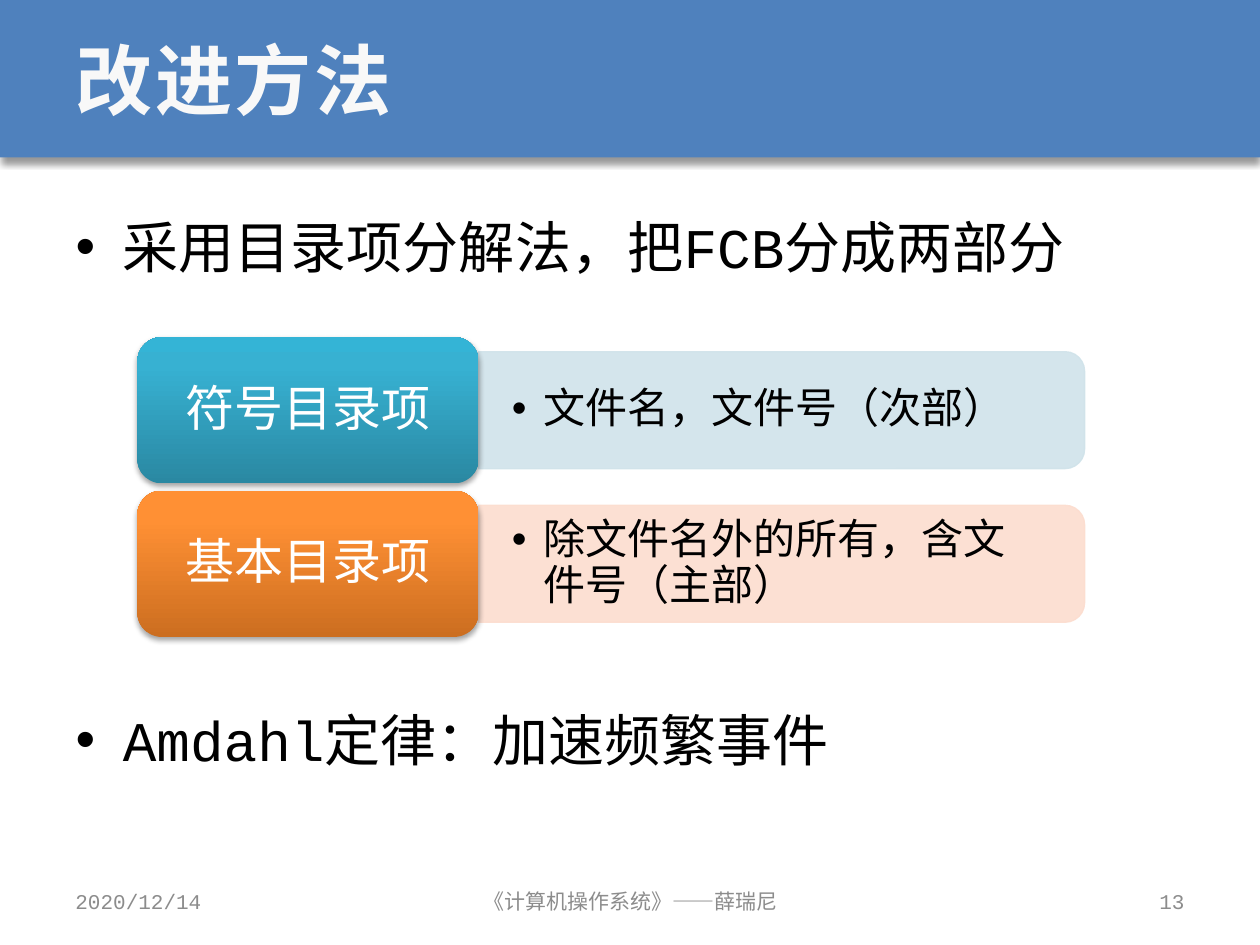
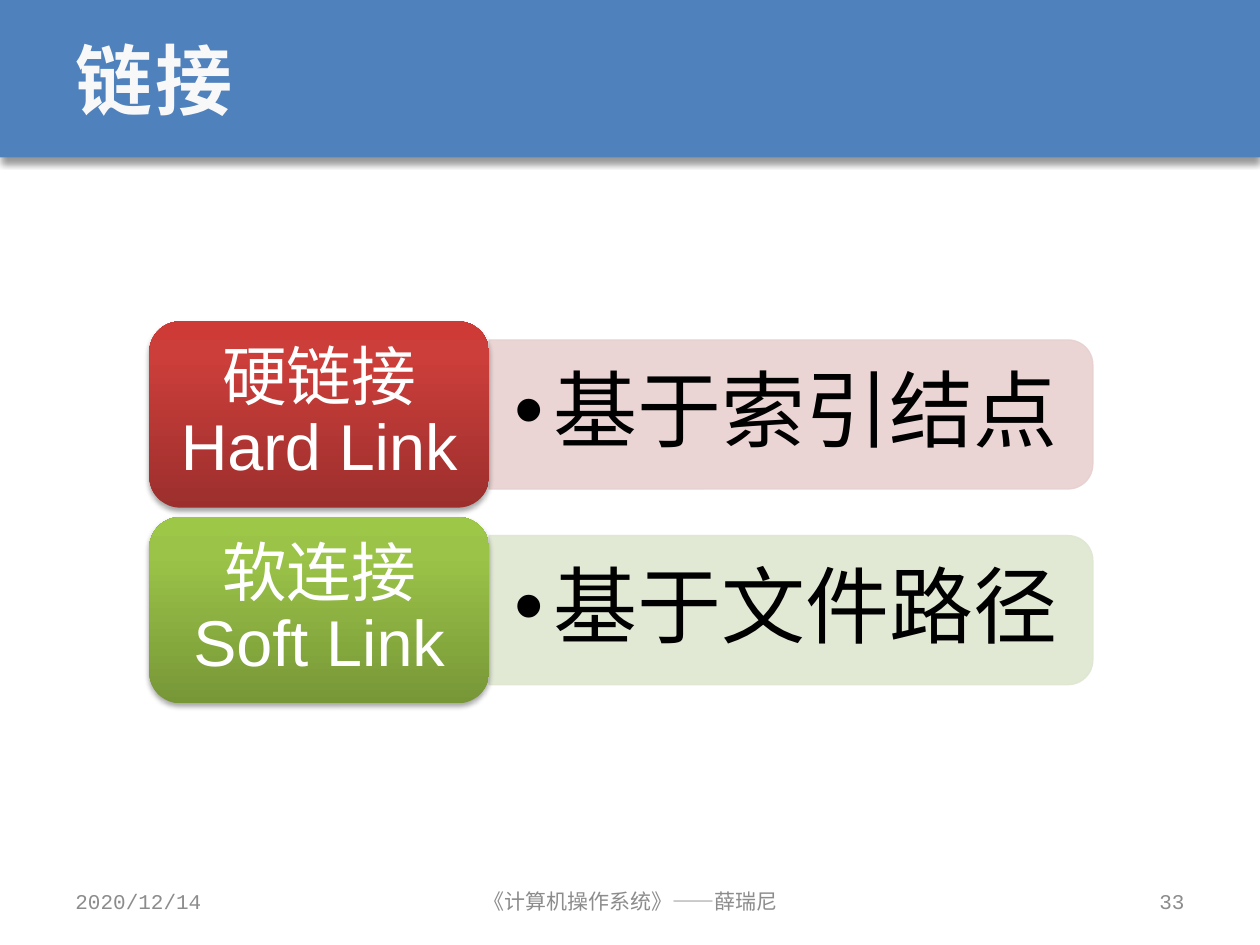
"""Build two file-system slides: directory entry split and link types."""
from copy import deepcopy

from lxml import etree
from pptx import Presentation
from pptx.dml.color import RGBColor
from pptx.enum import shapes, text
from pptx.oxml import ns
from pptx.util import Pt

COLOURS = {
    "band": "4F81BD", "title": "F8F8F8", "footer": "8C8C8C",
    "black": "000000", "white": "FFFFFF",
}
MONO, SANS = "Courier New", "Arial"
CORNER = 0.1667 * 0.293
LEFT, CENTER, RIGHT = text.PP_ALIGN.LEFT, text.PP_ALIGN.CENTER, text.PP_ALIGN.RIGHT


def add_shadow(shape, opacity, blur, distance):
    shape.shadow.inherit = False
    effects = shape._element.spPr.find(ns.qn("a:effectLst"))
    outer = etree.SubElement(effects, ns.qn("a:outerShdw"), blurRad=str(Pt(blur)),
                             dist=str(Pt(distance)), dir="5400000", rotWithShape="0")
    colour = etree.SubElement(outer, ns.qn("a:srgbClr"), val=COLOURS["black"])
    etree.SubElement(colour, ns.qn("a:alpha"), val=str(opacity * 1000))


def style_text(shape, size, font, colour, align, line_spacing=None, insets=None):
    frame = shape.text_frame
    frame.word_wrap = True
    frame.auto_size = text.MSO_AUTO_SIZE.NONE
    frame.vertical_anchor = text.MSO_ANCHOR.MIDDLE
    if insets:
        frame.margin_left = frame.margin_right = Pt(insets[0])
        frame.margin_top = frame.margin_bottom = Pt(insets[1])
    for para in frame.paragraphs:
        para.alignment = align
        para.line_spacing = line_spacing
        for span in para.runs:
            span.font.size = Pt(size)
            span.font.name = font
            span.font.color.rgb = RGBColor.from_string(COLOURS[colour])


slides = [
    {
        "title": "改进方法", "number": "13",
        "bullets": ["采用目录项分解法，把FCB分成两部分", "Amdahl定律：加速频繁事件"],
        "left": 78.5, "top": 192.6, "label_width": 195, "label_height": 83.6,
        "bar_width": 346.3, "label_size": 28, "detail_size": 24, "indent": 18,
        "label_insets": (8.6, 4.3), "detail_insets": (19, 9.7),
        "rows": [
            ("符号目录项", "文件名，文件号（次部）", "D0E3EA", ("2A88A2", "37B1D2", "34B4D6")),
            ("基本目录项", "除文件名外的所有，含文件号（主部）", "FCDDCF",
             ("CC6E20", "FF9034", "FF9136")),
        ],
    },
    {
        "title": "链接", "number": "33", "bullets": [],
        "left": 85.3, "top": 183.6, "label_width": 194.2, "label_height": 106.5,
        "bar_width": 345, "label_size": 37, "detail_size": 48, "indent": 22.5,
        "label_insets": (10, 5.5), "detail_insets": (14.4, 7.2),
        "rows": [
            ("硬链接\vHard Link", "基于索引结点", "E8D0D0", ("9C2F2D", "CB3E3A", "CE3B37")),
            ("软连接\vSoft Link", "基于文件路径", "DEE7D1", ("779737", "9BC348", "9DC746")),
        ],
    },
]

deck = Presentation()
deck.slide_width, deck.slide_height = Pt(720), Pt(540)
pages = [deck.slides.add_slide(deck.slide_layouts[1 if content["bullets"] else 5])
         for content in slides]

band = pages[0].shapes.add_shape(shapes.MSO_SHAPE.RECTANGLE, 0, 0, Pt(720), Pt(90))
band.fill.solid()
band.fill.fore_color.rgb = RGBColor.from_string(COLOURS["band"])
band.line.fill.background()
add_shadow(band, 40, 4, 3)
band._element.nvSpPr.cNvPr.set("id", "20")
deck.slide_master.shapes._spTree.insert(2, band._element)

for page, content in zip(pages, slides):
    title = page.shapes.title
    title.left, title.top, title.width, title.height = Pt(36), 0, Pt(648), Pt(90)
    title.text_frame.text = content["title"]
    style_text(title, 44, MONO, "title", LEFT)
    title_font = title.text_frame.paragraphs[0].runs[0].font
    title_font.bold = True
    title_font._element.set("spc", "150")

    if content["bullets"]:
        body = page.placeholders[1]
        body.left, body.top, body.width, body.height = Pt(36), Pt(106.3), Pt(648), Pt(384)
        body.text_frame.text = "\n".join(content["bullets"])
        style_text(body, 32, MONO, "black", LEFT, 1.3)
        body.text_frame.vertical_anchor = text.MSO_ANCHOR.TOP
        for para, gap in zip(body.text_frame.paragraphs, (0, 232)):
            para.space_before = Pt(gap)

    label_width, label_height = content["label_width"], content["label_height"]
    bar_left = content["left"] + label_width
    bar_width, bar_height = content["bar_width"], label_height * 0.8
    inset = bar_height * CORNER
    for row, (label_text, detail_text, tint, stops) in enumerate(content["rows"]):
        top = content["top"] + row * label_height * 1.05
        middle = top + label_height / 2

        bar = page.shapes.add_shape(
            shapes.MSO_SHAPE.ROUND_2_SAME_RECTANGLE,
            Pt(bar_left + (bar_width - bar_height) / 2), Pt(middle - bar_width / 2),
            Pt(bar_height), Pt(bar_width))
        bar.rotation = 90
        bar.shadow.inherit = False
        bar.fill.solid()
        bar.fill.fore_color.rgb = bar.line.color.rgb = RGBColor.from_string(tint)
        bar.line.width = Pt(0.75)
        for colour in list(bar._element.spPr.iter(ns.qn("a:srgbClr"))):
            etree.SubElement(colour, ns.qn("a:alpha"), val="90000")

        detail = page.shapes.add_textbox(
            Pt(bar_left), Pt(middle - bar_height / 2 + inset),
            Pt(bar_width - inset), Pt(bar_height - 2 * inset))
        detail.text_frame.text = detail_text
        detail.text_frame.paragraphs[0].level = 1
        properties = detail.text_frame.paragraphs[0]._p.get_or_add_pPr()
        properties.set("marL", str(Pt(content["indent"])))
        properties.set("indent", str(-Pt(content["indent"])))
        etree.SubElement(properties, ns.qn("a:buFont"), typeface=SANS)
        etree.SubElement(properties, ns.qn("a:buChar"), char="•")
        style_text(detail, content["detail_size"], SANS, "black", LEFT, 0.9,
                   content["detail_insets"])

        label = page.shapes.add_shape(
            shapes.MSO_SHAPE.ROUNDED_RECTANGLE, Pt(content["left"]), Pt(top),
            Pt(label_width), Pt(label_height))
        label.line.fill.background()
        label.fill.gradient()
        label.fill.gradient_angle = 90
        stop_list = label._element.spPr.find(".//" + ns.qn("a:gsLst"))
        stop_list.append(deepcopy(stop_list[-1]))
        for stop, position, colour in zip(label.fill.gradient_stops, (0, 0.8, 1), stops):
            stop.position = position
            stop.color.rgb = RGBColor.from_string(colour)
        add_shadow(label, 35, 3.1, 1.8)
        label.text_frame.paragraphs[0].text = label_text
        style_text(label, content["label_size"], SANS, "white", CENTER, 0.9,
                   content["label_insets"])

    footers = [
        (36, 168, "2020/12/14", LEFT),
        (246.2, 228, "《计算机操作系统》——薛瑞尼", CENTER),
        (516, 168, content["number"], RIGHT),
    ]
    for left, width, footer_text, align in footers:
        footer = page.shapes.add_textbox(Pt(left), Pt(500.5), Pt(width), Pt(28.8))
        footer.text_frame.text = footer_text
        style_text(footer, 12, MONO, "footer", align)

deck.save("out.pptx")
